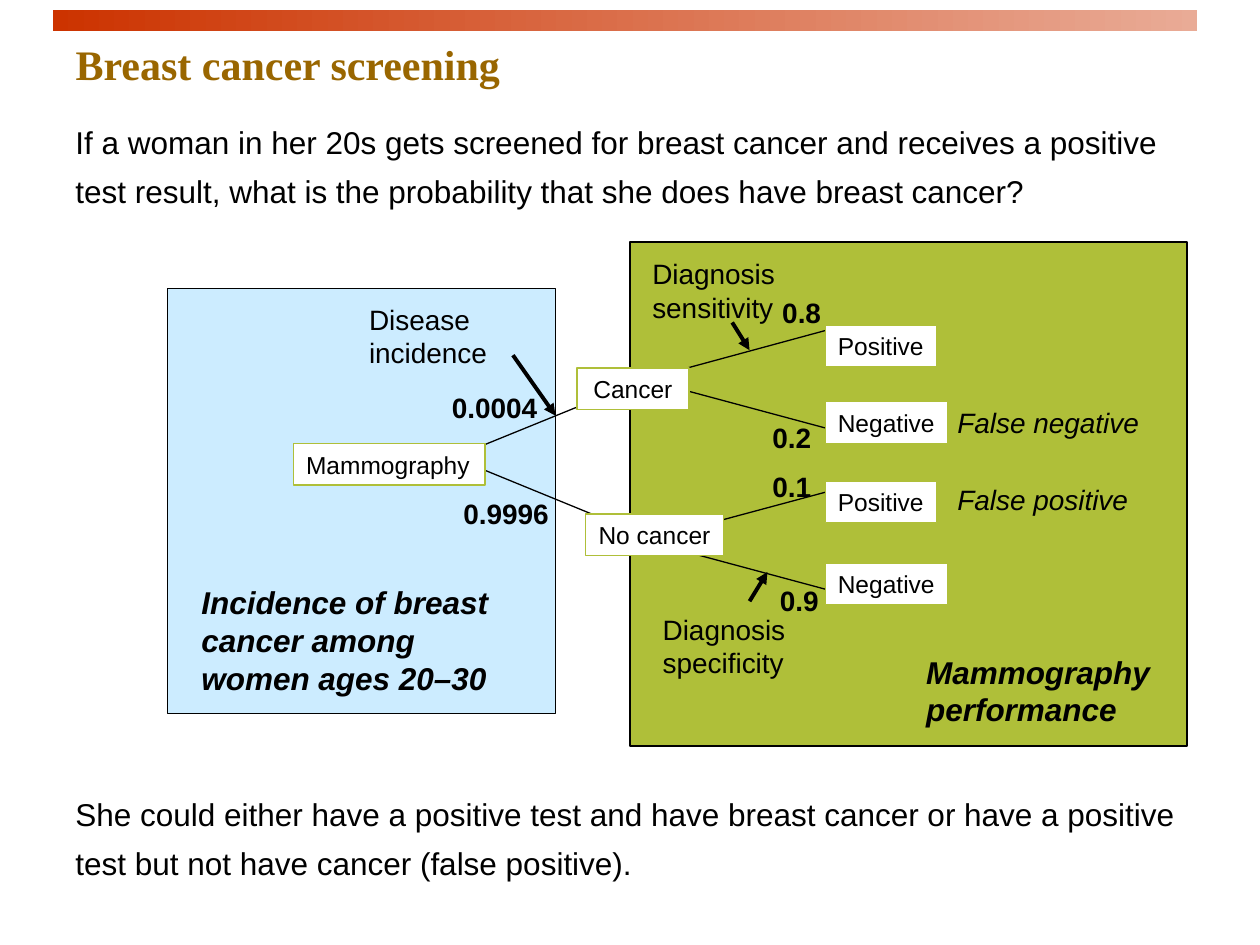
"""Build the breast cancer screening slide with its probability tree."""
from lxml.etree import SubElement
from pptx import Presentation
from pptx.dml.color import RGBColor
from pptx.enum.shapes import MSO_CONNECTOR as LINE, MSO_SHAPE as SHAPE
from pptx.enum.text import MSO_ANCHOR as ANCHOR, MSO_AUTO_SIZE as FIT, PP_ALIGN as ALIGN
from pptx.oxml.ns import qn
from pptx.util import Cm, Pt

BLACK = RGBColor(0x00, 0x00, 0x00)
WHITE = RGBColor(0xFF, 0xFF, 0xFF)
OLIVE = RGBColor(0xAF, 0xBF, 0x39)
SKY = RGBColor(0xCC, 0xEC, 0xFF)
BROWN = RGBColor(0x99, 0x66, 0x00)
RED = RGBColor(0xCC, 0x33, 0x00)
PINK = RGBColor(0xE9, 0xAB, 0x96)

TITLE = "Breast cancer screening"
BAR_BOX = (1.07, 0.2, 23.06, 0.43)
TITLE_BOX = (1.27, 0.64, 22.86, 2.11)
PANELS = [((12.7, 4.88, 11.23, 10.16), OLIVE), ((3.38, 5.82, 7.82, 8.56), SKY)]

ROOT = (9.14, 9.22)
OUTCOME_X, NODE_HEIGHT = 16.87, 0.84
FORKS = [
    (ROOT, [(13, 7.65), (13, 10.8)]),
    ((13, 7.65), [(OUTCOME_X, 6.6), (OUTCOME_X, 8.69)]),
    ((13, 10.9), [(OUTCOME_X, 9.86), (OUTCOME_X, 11.94)]),
]
NODES = [
    ("Cancer", 11.63, 7.42, 2.26, ALIGN.CENTER),
    ("No cancer", 11.81, 10.36, 2.77, ALIGN.CENTER),
    ("Mammography", 5.92, 8.94, 3.86, ALIGN.LEFT),
    ("Positive", 16.64, 6.55, 2.24, ALIGN.LEFT),
    ("Negative", 16.64, 8.1, 2.46, ALIGN.LEFT),
    ("Positive", 16.64, 9.7, 2.24, ALIGN.LEFT),
    ("Negative", 16.64, 11.35, 2.46, ALIGN.LEFT),
]
POINTERS = [
    ((10.34, 7.16), (11.2, 8.38)),
    ((14.76, 6.5), (15.11, 7.06)),
    ((15.11, 12.12), (15.47, 11.53)),
]
LABELS = [
    ({"size": Pt(16)}, [
        ("Disease incidence", (7.19, 5.97, 3.56, 1.6)),
        ("Diagnosis sensitivity", (12.9, 5.05, 3.2, 1.6)),
        ("Diagnosis specificity", (13.11, 12.22, 3.23, 1.6)),
    ]),
    ({"size": Pt(16), "italic": True}, [
        ("False negative", (19.05, 8.05, 4.29, 0.94)),
        ("False positive", (19.05, 9.6, 4.29, 0.94)),
    ]),
    ({"size": Pt(16), "bold": True}, [
        ("0.0004", (8.86, 7.75, 2.24, 0.94)),
        ("0.9996", (9.09, 9.88, 2.24, 0.94)),
        ("0.8", (15.52, 5.84, 1.3, 0.94)),
        ("0.2", (15.32, 8.36, 1.3, 0.94)),
        ("0.1", (15.32, 9.35, 1.3, 0.94)),
        ("0.9", (15.47, 11.63, 1.3, 0.94)),
    ]),
    ({"size": Pt(18), "bold": True, "italic": True}, [
        ("Incidence of breast cancer among women ages 20–30", (3.81, 11.63, 7.04, 2.54)),
        ("Mammography performance", (18.42, 13.03, 5.28, 1.78)),
    ]),
]
PARAGRAPHS = [
    ("If a woman in her 20s gets screened for breast cancer and receives a positive "
     "test result, what is the probability that she does have breast cancer?", 2.13),
    ("She could either have a positive test and have breast cancer or have a positive "
     "test but not have cancer (false positive).", 15.67),
]


def cm(values):
    return [Cm(value) for value in values]


def write(shape, text, align=ALIGN.LEFT, wrap=True, **font_format):
    frame = shape.text_frame
    frame.text = text
    frame.word_wrap = wrap
    frame.vertical_anchor = ANCHOR.TOP
    paragraph = frame.paragraphs[0]
    paragraph.alignment = align
    values = {"name": "Arial", "bold": False, "italic": False, **font_format}
    color = values.pop("color", BLACK)
    for attribute, value in values.items():
        setattr(paragraph.font, attribute, value)
    paragraph.font.color.rgb = color
    return paragraph


def add_rect(shapes, box, fill, line):
    rect = shapes.add_shape(SHAPE.RECTANGLE, *cm(box))
    rect.shadow.inherit = False
    rect.fill.solid()
    rect.fill.fore_color.rgb = fill
    rect.line.color.rgb = line
    rect.line.width = Pt(0.75)
    return rect


def add_line(shapes, start, end, width, arrow=False):
    line = shapes.add_connector(LINE.STRAIGHT, *cm(start + end))
    line.line.color.rgb = BLACK
    line.line.width = Pt(width)
    if arrow:
        SubElement(line.line._get_or_add_ln(), qn("a:tailEnd"), type="triangle")
    SubElement(line._element.spPr, qn("a:effectLst"))


def add_bar(shapes):
    bar = shapes.add_shape(SHAPE.RECTANGLE, *cm(BAR_BOX))
    bar.shadow.inherit = False
    bar.line.fill.background()
    bar.fill.gradient()
    bar.fill.gradient_angle = 180
    for stop, position, color in zip(bar.fill.gradient_stops, (0, 1), (PINK, RED)):
        stop.position = position
        stop.color.rgb = color


def add_tree(shapes):
    for box, fill in PANELS:
        add_rect(shapes, box, fill, BLACK)
    for start, ends in FORKS:
        for end in ends:
            add_line(shapes, start, end, 0.75)
    for text, left, top, width, align in NODES:
        node = add_rect(shapes, (left, top, width, NODE_HEIGHT), WHITE, OLIVE)
        write(node, text, align, wrap=False, size=Pt(14))
        node.text_frame.auto_size = FIT.SHAPE_TO_FIT_TEXT
    for start, end in POINTERS:
        add_line(shapes, start, end, 2.25, arrow=True)
    for font_format, labels in LABELS:
        for text, box in labels:
            label = shapes.add_textbox(*cm(box))
            write(label, text, wrap="bold" not in font_format or " " in text, **font_format)


def main():
    deck = Presentation()
    deck.slide_width, deck.slide_height = Cm(25.4), Cm(19.05)
    slide = deck.slides.add_slide(deck.slide_layouts[5])
    title = slide.shapes.title
    title.left, title.top, title.width, title.height = cm(TITLE_BOX)
    write(title, TITLE, name="Times New Roman", size=Pt(24), bold=True, color=BROWN)
    add_bar(slide.shapes)
    add_tree(slide.shapes.add_group_shape().shapes)
    for text, top in PARAGRAPHS:
        body = slide.shapes.add_textbox(*cm((1.27, top, 23.29, 2.24)))
        write(body, text, size=Pt(18)).line_spacing = 1.3
    deck.save("out.pptx")


if __name__ == "__main__":
    main()
